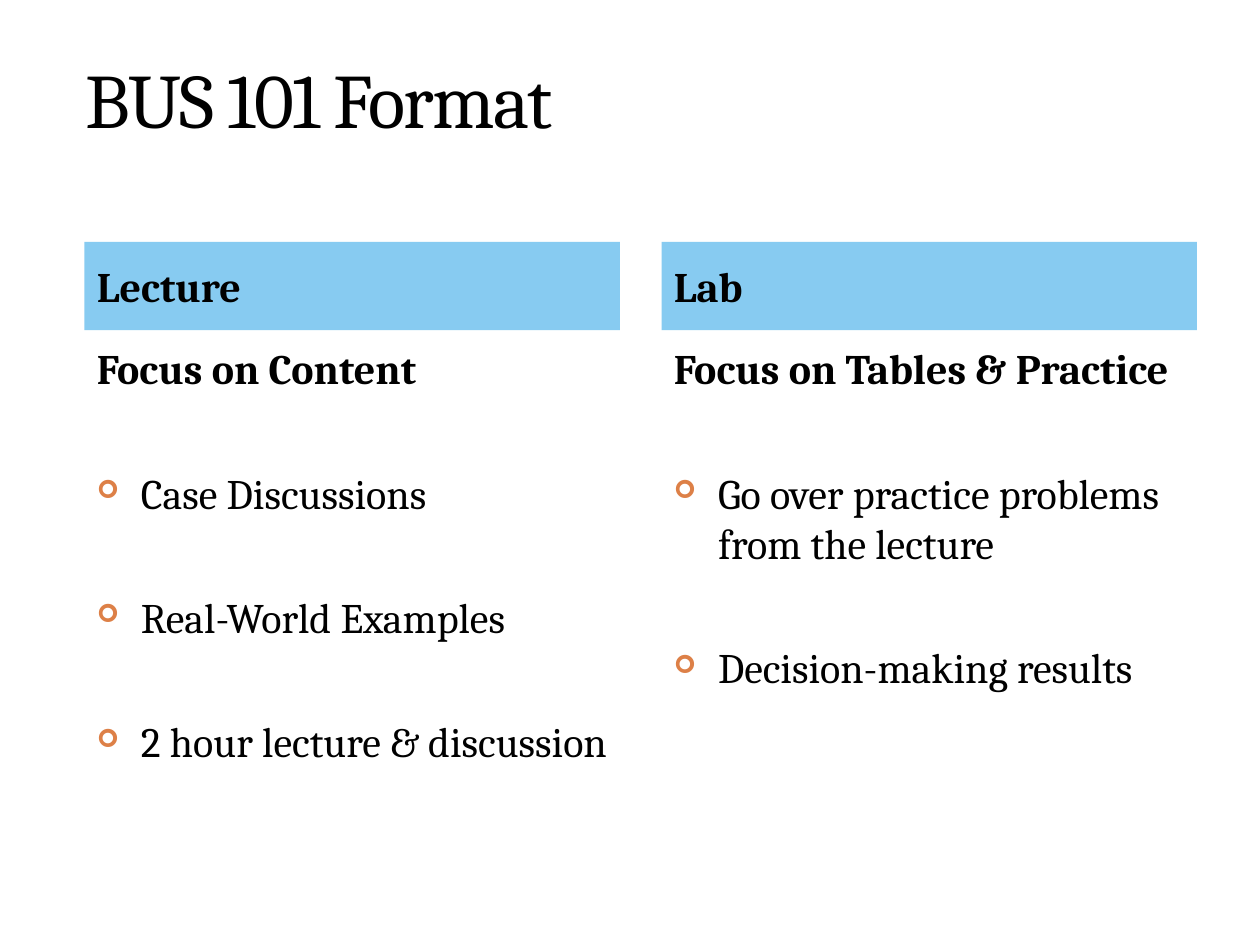
from lxml import etree
from pptx import Presentation
from pptx.dml.color import RGBColor
from pptx.enum import shapes, text
from pptx.oxml import ns
from pptx.util import Inches, Pt

TITLE = "BUS 101 Format"
COLUMNS = [
    ("Lecture", "Focus on Content",
     ["Case Discussions", "Real-World Examples", "2 hour lecture & discussion"]),
    ("Lab", "Focus on Tables & Practice",
     ["Go over practice problems from the lecture", "Decision-making results"]),
]

FONT = "Cambria"
BLACK = RGBColor(0x00, 0x00, 0x00)
BLUE = RGBColor(0x1D, 0x9E, 0xE5)
ORANGE = RGBColor(0xDD, 0x80, 0x47)
BLUE_OPACITY = 53
LEFT, COLUMN_WIDTH, GAP = 0.67, 4.25, 0.33
HEADER_TOP, HEADER_HEIGHT = 1.92, 0.7
BODY_TOP, BODY_HEIGHT = 2.67, 3.92
INDENT = 0.35


def add_xml(parent, tag, **attributes):
    return etree.SubElement(parent, ns.qn(tag), attributes)


def write(paragraph, content, size=24, bold=False, before=7, bullet=None):
    paragraph.alignment = text.PP_ALIGN.LEFT
    paragraph.space_before = Pt(before)
    run = paragraph.add_run()
    run.text = content
    run.font.name = FONT
    run.font.size = Pt(size)
    run.font.bold = bold
    run.font.color.rgb = BLACK
    if bullet:
        properties = paragraph._p.get_or_add_pPr()
        properties.set("marL", str(Inches(INDENT)))
        properties.set("indent", str(-Inches(INDENT)))
        color = add_xml(properties, "a:buClr")
        add_xml(color, "a:srgbClr", val=str(ORANGE))
        add_xml(properties, "a:buSzPct", val="60000")
        add_xml(properties, "a:buFont", typeface="Wingdings")
        add_xml(properties, "a:buChar", char=bullet)
    return run


def add_header(slide, left, content):
    header = slide.shapes.add_shape(
        shapes.MSO_SHAPE.RECTANGLE, Inches(left), Inches(HEADER_TOP),
        Inches(COLUMN_WIDTH), Inches(HEADER_HEIGHT))
    header.shadow.inherit = False
    header.line.fill.background()
    header.fill.solid()
    header.fill.fore_color.rgb = BLUE
    color = header._element.spPr.find(".//" + ns.qn("a:srgbClr"))
    add_xml(color, "a:alpha", val=str(BLUE_OPACITY * 1000))
    header.text_frame.vertical_anchor = text.MSO_ANCHOR.MIDDLE
    write(header.text_frame.paragraphs[0], content, bold=True)


def add_body(slide, left, focus, points):
    body = slide.shapes.add_textbox(
        Inches(left), Inches(BODY_TOP), Inches(COLUMN_WIDTH), Inches(BODY_HEIGHT))
    frame = body.text_frame
    frame.word_wrap = True
    write(frame.paragraphs[0], focus, bold=True)
    for point in points:
        write(frame.add_paragraph(), point, before=42.3, bullet="➢")


def main():
    presentation = Presentation()
    presentation.slide_width, presentation.slide_height = Inches(10), Inches(7.5)
    slide = presentation.slides.add_slide(presentation.slide_layouts[5])
    title = slide.shapes.title
    title.left, title.top = Inches(0.58), Inches(0.3)
    title.width, title.height = Inches(8.92), Inches(0.95)
    title.text_frame.vertical_anchor = text.MSO_ANCHOR.MIDDLE
    run = write(title.text_frame.paragraphs[0], TITLE, size=44, before=0)
    run.font._element.set("spc", "-100")

    for index, (heading, focus, points) in enumerate(COLUMNS):
        left = LEFT + index * (COLUMN_WIDTH + GAP)
        add_header(slide, left, heading)
        add_body(slide, left, focus, points)
    presentation.save("out.pptx")


if __name__ == "__main__":
    main()
